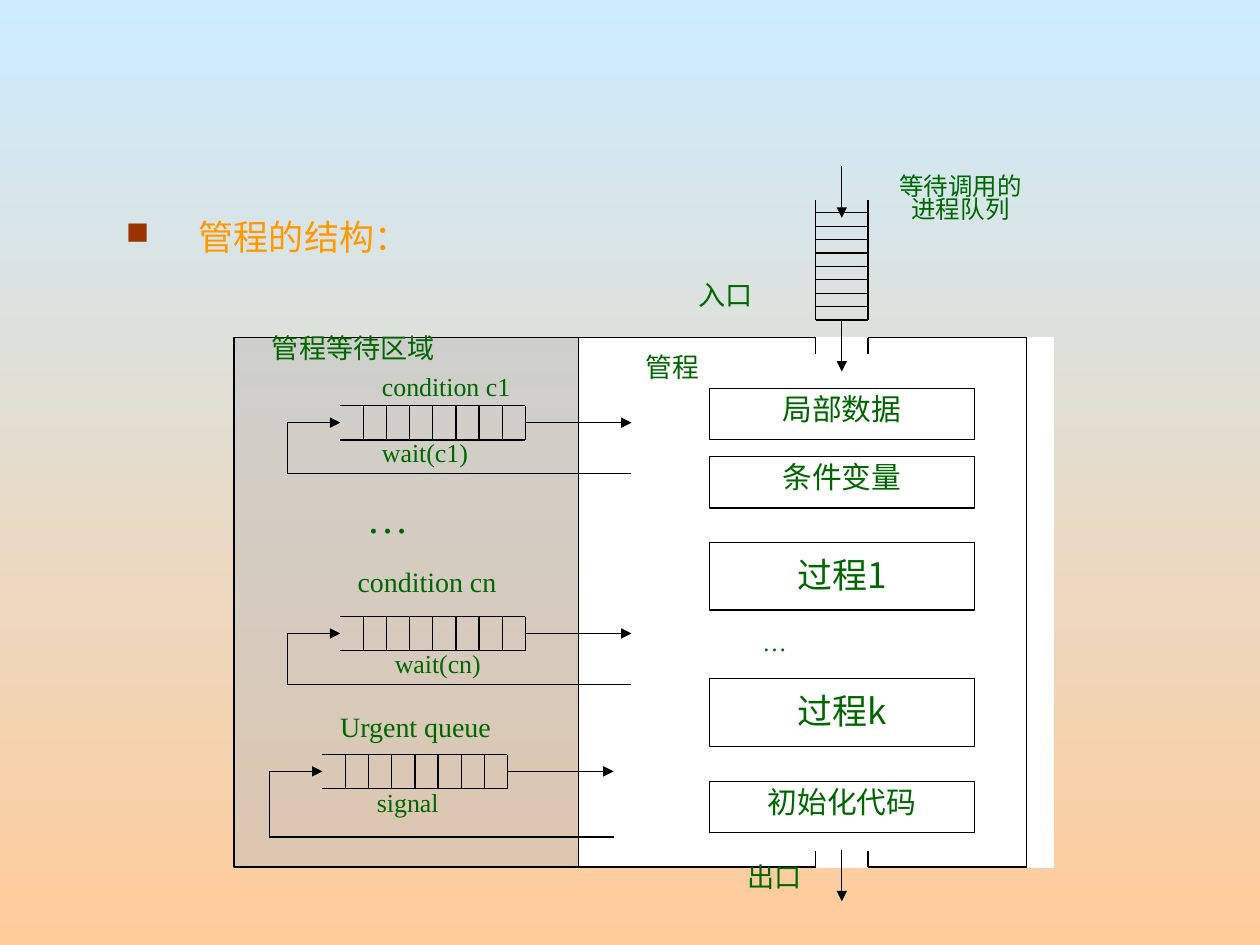
"""Build a slide showing the structure of a monitor with its waiting queues."""
from lxml.etree import SubElement
from pptx import Presentation
from pptx.dml.color import RGBColor
from pptx.enum.shapes import MSO_CONNECTOR, MSO_SHAPE
from pptx.enum.text import MSO_ANCHOR, PP_ALIGN
from pptx.oxml.ns import qn
from pptx.util import Cm, Pt

COLORS = {
    "sky": "CCECFF", "sand": "FFCC99", "ink": "000000", "paper": "FFFFFF",
    "shade": "C0C0C0", "label": "006600", "heading": "FF9900", "bullet": "993300",
}
CJK = "Noto Sans CJK SC"
LATIN = "Times New Roman"


class DiagramSlide:
    """Hold the style and the slide, and draw each kind of element."""

    def __init__(self, slide):
        self.slide = slide
        self.stroke = Pt(0.75)

    def color(self, name):
        return RGBColor.from_string(COLORS[name])

    def background(self, top, bottom):
        fill = self.slide.background.fill
        fill.gradient()
        fill.gradient_angle = 270
        for stop, name, position in zip(fill.gradient_stops, (top, bottom), (0, 1)):
            stop.color.rgb = self.color(name)
            stop.position = position

    def set_text(self, frame, words, size, font, color="label", align=PP_ALIGN.CENTER,
                 spacing=None, inset=(0, 0), bullet=False):
        frame.word_wrap = True
        frame.vertical_anchor = MSO_ANCHOR.TOP
        frame.margin_left = frame.margin_right = Cm(inset[0])
        frame.margin_top = frame.margin_bottom = Cm(inset[1])
        paragraph = frame.paragraphs[0]
        paragraph.text = words
        paragraph.alignment = align
        paragraph.line_spacing = spacing
        properties = paragraph._p.get_or_add_pPr()
        if bullet:
            properties.set("marL", str(Cm(1.47)))
            properties.set("indent", str(-Cm(1.47)))
            tint = SubElement(properties, qn("a:buClr"))
            SubElement(tint, qn("a:srgbClr"), val=COLORS["bullet"])
            SubElement(properties, qn("a:buSzPct"), val="90000")
            SubElement(properties, qn("a:buChar"), char="■")
        paragraph.font.size = Pt(size)
        paragraph.font.color.rgb = self.color(color)
        paragraph.font.name = font
        SubElement(properties.find(qn("a:defRPr")), qn("a:ea"), typeface=font)

    def text(self, left, top, width, height, words, size, font, **style):
        box = self.slide.shapes.add_textbox(Cm(left), Cm(top), Cm(width), Cm(height))
        self.set_text(box.text_frame, words, size, font, **style)

    def rect(self, left, top, width, height, fill="paper", line="ink", alpha=None):
        rect = self.slide.shapes.add_shape(
            MSO_SHAPE.RECTANGLE, Cm(left), Cm(top), Cm(width), Cm(height))
        rect.shadow.inherit = False
        rect.fill.solid()
        rect.fill.fore_color.rgb = self.color(fill)
        rect.line.color.rgb = self.color(line)
        rect.line.width = self.stroke
        if alpha:
            tint = rect._element.spPr.find(qn("a:solidFill"))[0]
            SubElement(tint, qn("a:alpha"), val=str(alpha * 1000))
        return rect

    def line(self, x1, y1, x2, y2, arrow=False):
        line = self.slide.shapes.add_connector(
            MSO_CONNECTOR.STRAIGHT, Cm(x1), Cm(y1), Cm(x2), Cm(y2))
        line.line.color.rgb = self.color("ink")
        line.line.width = self.stroke
        properties = line._element.spPr
        if arrow:
            SubElement(properties.find(qn("a:ln")), qn("a:tailEnd"), type="triangle")
        SubElement(properties, qn("a:effectLst"))

    def waiting_queue(self, left, top, drop):
        """Draw an eight-cell queue with its entry loop and exit arrow."""
        right, bottom, middle = left + 3.73, top + 0.69, top + 0.34
        loop, end = left - 1.07, right + 2.14
        for edge in (top, bottom):
            self.line(left, edge, right, edge)
        for cell in range(1, 9):
            x = left + cell * 3.73 / 8
            self.line(x, top, x, bottom)
        self.line(end, top + drop, loop, top + drop)
        self.line(loop, top + drop, loop, middle)
        self.line(loop, middle, left, middle, arrow=True)
        self.line(right, middle, end, middle, arrow=True)

    def entry_queue(self, left, right, top, bottom):
        """Draw the open-topped queue of processes waiting to enter."""
        for side in (left, right):
            self.line(side, top, side, bottom)
        for rung in range(9):
            y = bottom - rung * 0.27
            self.line(left, y, right, y)


def main():
    presentation = Presentation()
    presentation.slide_width, presentation.slide_height = Cm(25.4), Cm(19.05)
    diagram = DiagramSlide(presentation.slides.add_slide(presentation.slide_layouts[6]))
    diagram.background("sky", "sand")
    diagram.text(2.29, 4.32, 22, 13.41, "管程的结构：", 20, CJK, color="heading",
                 align=PP_ALIGN.LEFT, spacing=0.9, inset=(0.25, 0.13), bullet=True)

    wall_top, wall_bottom, wall_left, wall_right = 6.81, 17.48, 11.66, 20.7
    height = wall_bottom - wall_top
    diagram.rect(wall_left, wall_top, 9.58, height, line="paper")
    diagram.rect(4.72, wall_top, 6.94, height, fill="shade", alpha=50)

    for left, top, drop in ((6.86, 8.18, 1.37), (6.86, 12.43, 1.37), (6.5, 15.21, 1.66)):
        diagram.waiting_queue(left, top, drop)
    for left, top, words, size, spacing in (
        (7.7, 7.7, "condition c1", 14.8, 0.6),
        (7.7, 9.02, "wait(c1)", 14.8, 0.6),
        (7.39, 9.91, "…", 24, 1),
        (7.21, 11.56, "condition cn", 16, 0.7),
        (7.96, 13.28, "wait(cn)", 14.8, 0.6),
        (6.86, 14.48, "Urgent queue", 16, 0.7),
        (7.6, 16.08, "signal", 14.8, 0.6),
        (15.37, 12.65, "…", 14, 1),
    ):
        diagram.text(left, top, 4, 0.5, words, size, LATIN,
                     align=PP_ALIGN.LEFT, spacing=spacing)

    small, large = (1.03, 17, 0.9, 0.13), (1.37, 20, 1, 0.23)
    for top, words, (box_height, size, spacing, inset) in (
        (7.83, "局部数据", small),
        (9.21, "条件变量", small),
        (10.93, "过程1", large),
        (13.68, "过程k", large),
        (15.75, "初始化代码", small),
    ):
        part = diagram.rect(14.31, top, 5.33, box_height)
        diagram.set_text(part.text_frame, words, size, CJK,
                         spacing=spacing, inset=(0.25, inset))

    gate_left, gate_middle, gate_right = 16.44, 16.97, 17.5
    diagram.entry_queue(gate_left, gate_right, 4.04, 6.45)
    for start, end in ((3.35, 4.39), (6.45, 7.49), (17.14, 18.17)):
        diagram.line(gate_middle, start, gate_middle, end, arrow=True)
    for wall, notch in ((wall_top, 7.14), (wall_bottom, 17.15)):
        diagram.line(wall_left, wall, gate_left, wall)
        diagram.line(gate_right, wall, wall_right, wall)
        for side in (gate_left, gate_right):
            diagram.line(side, wall, side, notch)
    diagram.line(wall_right, wall_top, wall_right, wall_bottom)

    for left, top, width, words, size, spacing in (
        (14.25, 17.48, 2.72, "出口", 15.5, 0.8),
        (13.26, 5.74, 2.72, "入口", 15.5, 0.8),
        (12.19, 7.14, 2.72, "管程", 15.3, 0.9),
        (18.03, 3.56, 2.67, "等待调用的进程队列", 14, 0.8),
        (4.72, 6.81, 4.8, "管程等待区域", 15.5, 0.8),
    ):
        diagram.text(left, top, width, 0.69, words, size, CJK, spacing=spacing)

    presentation.save("out.pptx")


if __name__ == "__main__":
    main()
